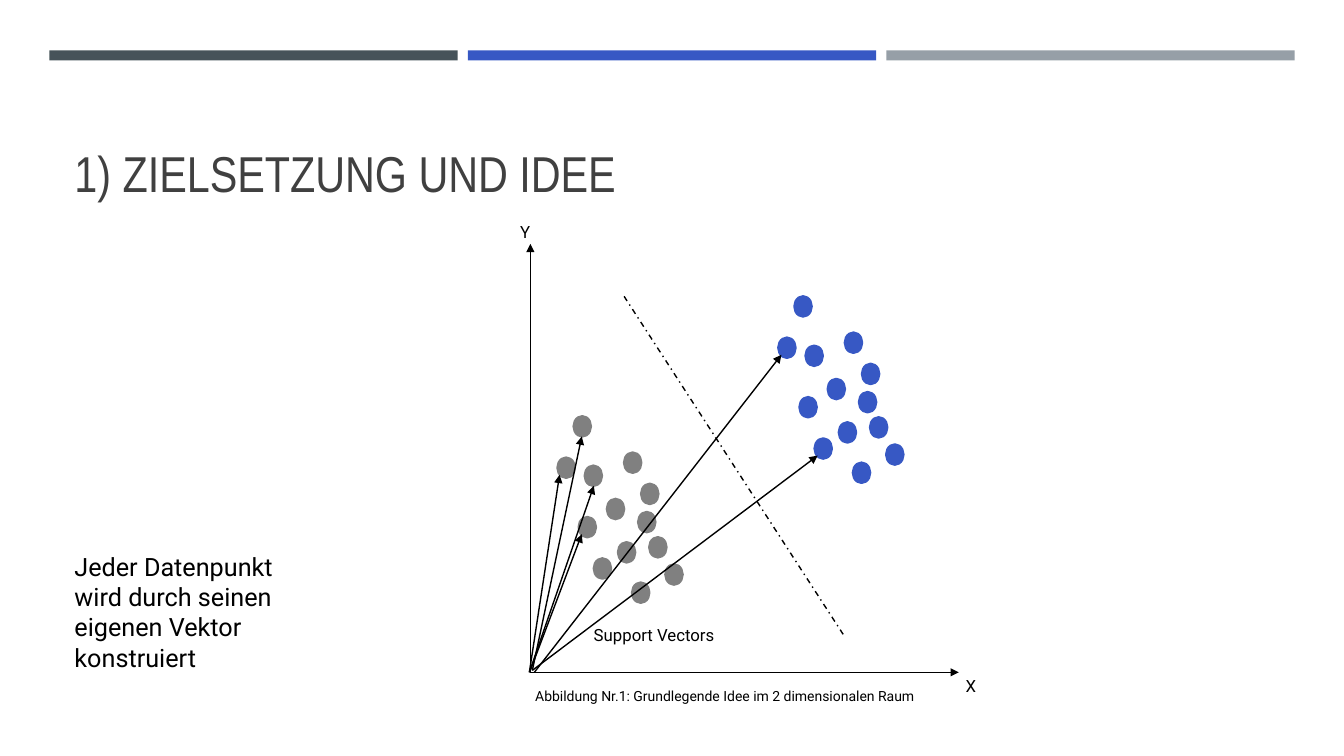
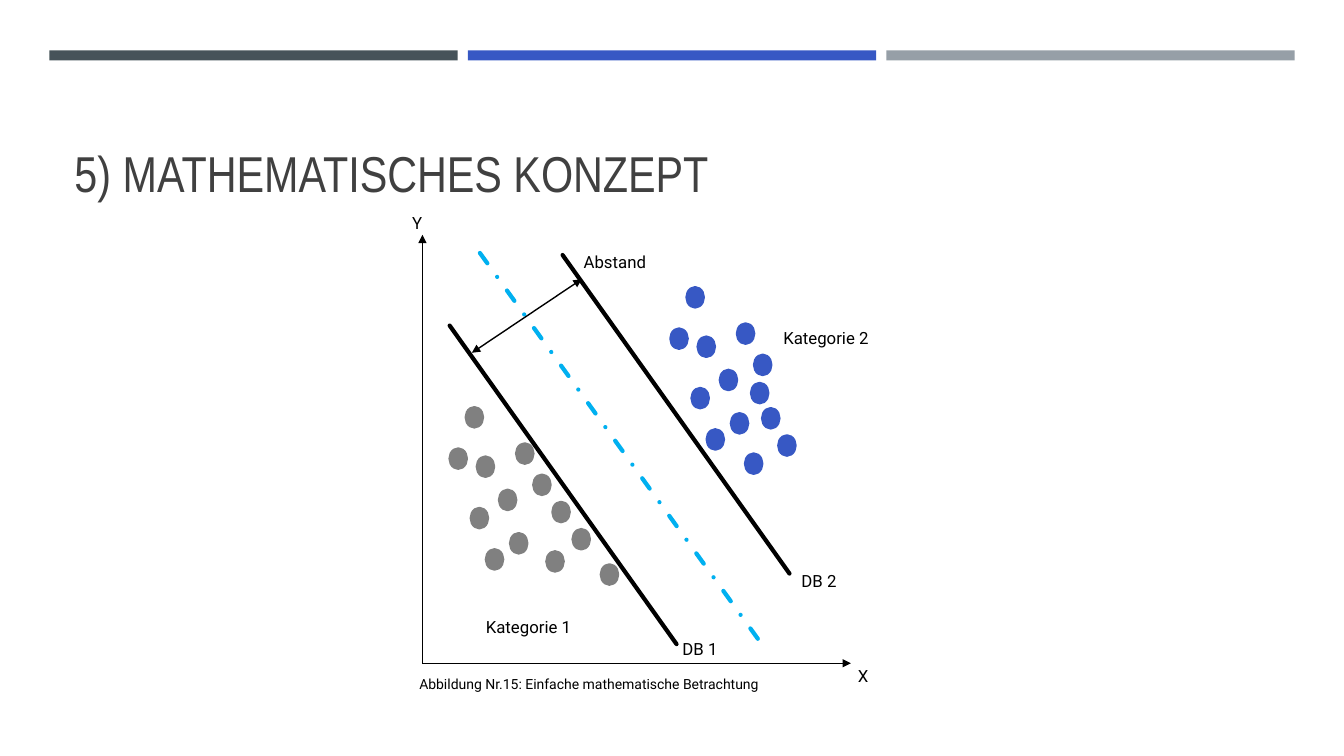
"""Build two slides that explain support vectors on a grid of tenth-inch cells."""
from lxml import etree
from pptx import Presentation
from pptx import util as u
from pptx.dml.color import RGBColor
from pptx.enum import dml, shapes, text
from pptx.oxml import ns

CELL = u.Inches(0.1)
COLUMNS, ROWS = 133.3, 75
COLORS = {
    "slate": "465359",
    "blue": "3758C4",
    "silver": "969FA7",
    "title": "404040",
    "ink": "000000",
    "gray": "808080",
    "sky": "00B0F0",
}
TITLE_FONT, BODY_FONT = "Arial Narrow", "Roboto"
BAND_LEFT, BAND_TOP, BAND_WIDTH, BAND_HEIGHT, BAND_GAP = 4.9, 5, 40.5, 1, 1
MARGIN = 6.4
AXIS_LENGTH = 42.5
DOT_WIDTH, DOT_HEIGHT = 1.7, 2
LABEL_WIDTH, LABEL_HEIGHT = 14.9, 3

CLOUD = [
    (0, 0), (-1.6, 4.1), (3.3, 8.2), (5, 3.6), (6.7, 6.7), (6.4, 9.5), (9.1, 14.7),
    (1.1, 4.9), (0.5, 10), (4.4, 12.5), (2, 14.1), (7.5, 12), (5.8, 16.5),
]
EDGE_CLOUD = CLOUD[:5] + [(8.6, 9.4), (13.4, 15.6)] + CLOUD[7:11] + [(10.6, 12.1), (8, 14.3)]

PLAIN = {}
VECTOR = {"tail": True}
BOUNDARY = {"weight": 3}

TOPICS = [
    {
        "title": "1) ZIELSETZUNG UND IDEE",
        "note": "Jeder Datenpunkt wird durch seinen eigenen Vektor konstruiert",
        "origin": (52.6, 66.7),
        "gray_cloud": CLOUD,
        "lines": [
            ((9.3, 37.3), (31.2, 3.5), {"dash": True}),
            ((-0.1, 0), (2.9, 19.6), VECTOR),
            ((-0.1, 0), (6.3, 18.5), VECTOR),
            ((0, 0.2), (5.1, 13.7), VECTOR),
            ((0.2, 0.2), (5.1, 23.4), VECTOR),
            ((0.4, 0), (24.9, 31.5), VECTOR),
            ((0.2, 0.2), (28.5, 21.5), VECTOR),
        ],
        "labels": [("Support Vectors", 5.3, 5.2)],
        "caption": ("Abbildung Nr.1: Grundlegende Idee im 2 dimensionalen Raum", 52.1, 67.7, 43),
    },
    {
        "title": "5) MATHEMATISCHES KONZEPT",
        "note": None,
        "origin": (41.9, 65.8),
        "gray_cloud": EDGE_CLOUD,
        "lines": [
            ((5.7, 40.7), (33.5, 2.1), {"color": "sky", "weight": 3, "dash": True}),
            ((2.7, 33.5), (25.2, 1.9), BOUNDARY),
            ((13.9, 40.5), (36.4, 8.9), BOUNDARY),
            ((4.9, 30.8), (15.8, 38.1), {"head": True, "tail": True}),
        ],
        "labels": [
            ("Kategorie 1", 5.3, 5.1),
            ("Kategorie 2", 34.8, 33.8),
            ("Abstand", 15, 41.3),
            ("DB 2", 36.6, 9.7),
            ("DB 1", 24.8, 2.9),
        ],
        "caption": ("Abbildung Nr.15: Einfache mathematische Betrachtung", 40.6, 66.5, 72.2),
    },
]


def write(canvas, words, box, size, font=BODY_FONT, color="ink"):
    """Place one line or paragraph of text in a box given in cells."""
    frame = canvas.add_textbox(*(round(cells * CELL) for cells in box)).text_frame
    frame.word_wrap = True
    run = frame.paragraphs[0].add_run()
    run.text = words
    run.font.size = u.Pt(size)
    run.font.name = font
    run.font.color.rgb = RGBColor.from_string(COLORS[color])
    return frame


def draw_line(canvas, origin, start, end, color="ink", weight=1, dash=False, head=False, tail=False):
    """Draw a line between two points measured right and up from the origin."""
    ends = [
        round(cells * CELL)
        for x, y in (start, end)
        for cells in (origin[0] + x, origin[1] - y)
    ]
    connector = canvas.add_connector(shapes.MSO_CONNECTOR.STRAIGHT, *ends)
    connector.line.color.rgb = RGBColor.from_string(COLORS[color])
    connector.line.width = u.Pt(weight)
    if dash:
        connector.line.dash_style = dml.MSO_LINE.DASH_DOT
    properties = connector._element.spPr
    stroke = properties.find(ns.qn("a:ln"))
    stroke.set("cap", "rnd" if weight > 1 else "flat")
    for tag, wanted in (("a:headEnd", head), ("a:tailEnd", tail)):
        if wanted:
            etree.SubElement(stroke, ns.qn(tag), type="triangle")
    etree.SubElement(properties, ns.qn("a:effectLst"))


deck = Presentation()
deck.slide_width = round(COLUMNS * CELL)
deck.slide_height = round(ROWS * CELL)

for topic in TOPICS:
    slide = deck.slides.add_slide(deck.slide_layouts[6])

    for column, color in enumerate(("slate", "blue", "silver")):
        left = BAND_LEFT + column * (BAND_WIDTH + BAND_GAP)
        band = slide.shapes.add_shape(
            shapes.MSO_SHAPE.RECTANGLE,
            *(round(cells * CELL) for cells in (left, BAND_TOP, BAND_WIDTH, BAND_HEIGHT)),
        )
        band.shadow.inherit = False
        band.fill.solid()
        band.fill.fore_color.rgb = RGBColor.from_string(COLORS[color])
        band.line.fill.background()

    heading = write(slide.shapes, topic["title"], (MARGIN, 7.7, 120.6, 13), 36, TITLE_FONT, "title")
    heading.vertical_anchor = text.MSO_ANCHOR.BOTTOM
    heading.paragraphs[0].line_spacing = 0.9
    if topic["note"]:
        write(slide.shapes, topic["note"], (MARGIN, 54.2, 23.1, 13.1), 18)

    diagram = slide.shapes.add_group_shape().shapes
    origin = topic["origin"]
    for axis_end in ((AXIS_LENGTH, 0), (0, AXIS_LENGTH)):
        draw_line(diagram, origin, (0, 0), axis_end, **VECTOR)

    for color, cloud, right, up in (
        ("gray", topic["gray_cloud"], 4.3, 25.4),
        ("blue", CLOUD, 26.2, 37.3),
    ):
        for x, y in cloud:
            place = (origin[0] + right + x, origin[1] - up + y, DOT_WIDTH, DOT_HEIGHT)
            point = diagram.add_shape(
                shapes.MSO_SHAPE.OVAL, *(round(cells * CELL) for cells in place)
            )
            point.shadow.inherit = False
            point.fill.solid()
            point.fill.fore_color.rgb = RGBColor.from_string(COLORS[color])
            point.line.color.rgb = RGBColor.from_string(COLORS[color])
            point.line.width = u.Pt(1.75)

    for start, end, style in topic["lines"]:
        draw_line(diagram, origin, start, end, **style)

    axis_names = [("Y", -2, 45.2, 3.1), ("X", 42.2, 0.2, 3.5)]
    labels = [(*label, LABEL_WIDTH) for label in topic["labels"]]
    for words, x, y, width in labels + axis_names:
        write(diagram, words, (origin[0] + x, origin[1] - y, width, LABEL_HEIGHT), 12)

    words, left, top, width = topic["caption"]
    write(slide.shapes, words, (left, top, width, 2.7), 10)

deck.save("out.pptx")
